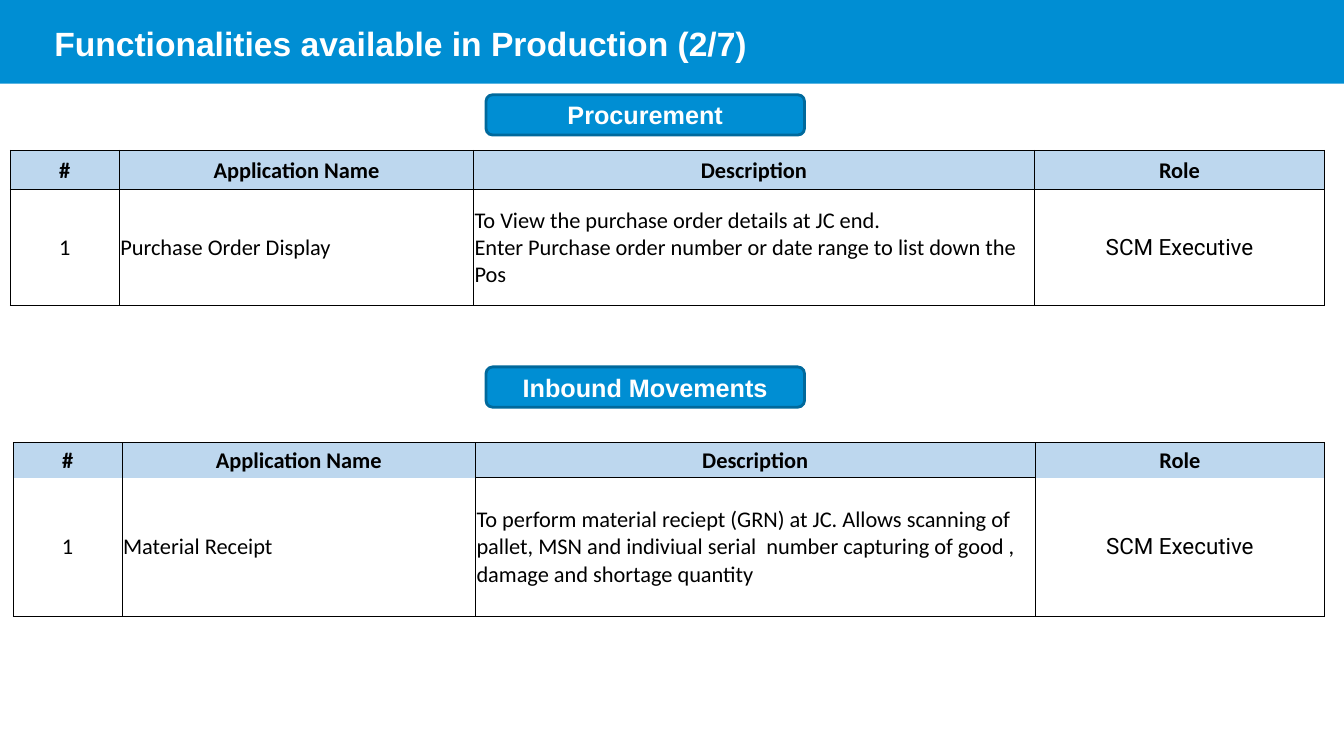
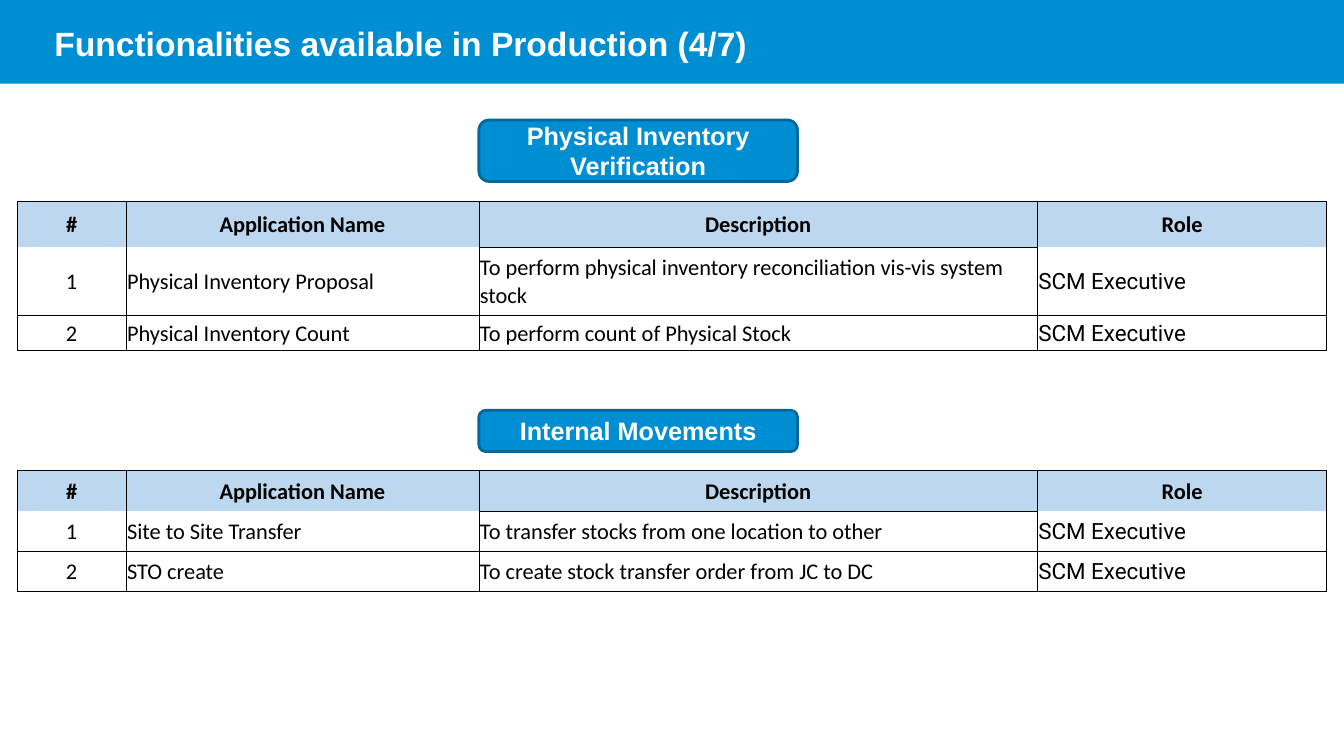
from lxml.etree import SubElement
from pptx import Presentation
from pptx.dml.color import RGBColor
from pptx.enum.shapes import MSO_SHAPE as Shape
from pptx.enum.text import MSO_ANCHOR as Anchor, PP_ALIGN as Align
from pptx.oxml.ns import qn
from pptx.util import Inches, Pt

BLUE = RGBColor(0x00, 0x8E, 0xD3)
DARK_BLUE = RGBColor(0x00, 0x69, 0x9C)
PALE_BLUE = RGBColor(0xBD, 0xD7, 0xEE)
WHITE = RGBColor(0xFF, 0xFF, 0xFF)
BLACK = RGBColor(0x00, 0x00, 0x00)

SLIDE_WIDTH = 13.33
HEADINGS = ("#", "Application Name", "Description", "Role")
NUMBER, APPLICATION, DESCRIPTION, ROLE = range(4)
COLUMN_SHARES = (1.08, 3.5, 5.54, 2.87)
ROLE_NAME = "SCM Executive"


def write(frame, text, size=16, font="Calibri", color=BLACK, bold=False,
          align=Align.LEFT):
    frame.word_wrap = True
    para = frame.paragraphs[0]
    para.text = text
    para.alignment = align
    for span in para.runs:
        span.font.size = Pt(size)
        span.font.name = font
        span.font.bold = bold
        span.font.color.rgb = color


def add_box(page, kind, left, top, width, height, line=None):
    box = page.shapes.add_shape(kind, Inches(left), Inches(top),
                                Inches(width), Inches(height))
    box.shadow.inherit = False
    box.fill.solid()
    box.fill.fore_color.rgb = BLUE
    if line is None:
        box.line.fill.background()
    else:
        box.line.color.rgb = line
        box.line.width = Pt(2)
    return box


def add_page(deck, title):
    """Add a blank slide with the title band."""
    page = deck.slides.add_slide(deck.slide_layouts[6])
    add_box(page, Shape.RECTANGLE, 0, 0, SLIDE_WIDTH, 0.83)
    box = page.shapes.add_textbox(Inches(0.44), Inches(0.18),
                                  Inches(11.78), Inches(0.57))
    write(box.text_frame, title, size=24, font="Arial", color=WHITE, bold=True)
    return page


def add_section_label(page, text, left, top, height=0.4):
    box = add_box(page, Shape.ROUNDED_RECTANGLE, left, top, 3.16, height,
                  line=DARK_BLUE)
    box.text_frame.vertical_anchor = Anchor.MIDDLE
    write(box.text_frame, text, size=18, font="Arial", color=WHITE, bold=True,
          align=Align.CENTER)


def set_borders(cell, hidden=""):
    """Rule all sides of a cell except the hidden ones (letters of LRTB)."""
    properties = cell._tc.get_or_add_tcPr()
    for side in "LRTB":
        line = SubElement(properties, qn(f"a:ln{side}"), w=str(Pt(0.5)))
        if side in hidden:
            SubElement(line, qn("a:noFill"))
        else:
            fill = SubElement(line, qn("a:solidFill"))
            SubElement(fill, qn("a:srgbClr"), val=str(BLACK))


def format_cell(cell, text, hidden="", fill=None, **text_format):
    cell.margin_left = cell.margin_right = cell.margin_top = Inches(0.01)
    cell.margin_bottom = 0
    cell.vertical_anchor = Anchor.MIDDLE
    set_borders(cell, hidden)
    if fill is None:
        cell.fill.background()
    else:
        cell.fill.solid()
        cell.fill.fore_color.rgb = fill
    write(cell.text_frame, text, **text_format)


def add_function_table(page, left, top, width, heights, entries,
                       role_align=Align.LEFT, open_header=True):
    """Tabulate (application, description) entries.

    An open header is ruled off from the first entry only under Description.
    """
    table = page.shapes.add_table(len(heights), len(HEADINGS), Inches(left),
                                  Inches(top), Inches(width),
                                  Inches(sum(heights))).table
    table.first_row = table.horz_banding = False
    for column, share in zip(table.columns, COLUMN_SHARES):
        column.width = Inches(width * share / sum(COLUMN_SHARES))
    for row, height in zip(table.rows, heights):
        row.height = Inches(height)

    aligns = {NUMBER: Align.CENTER, ROLE: role_align}
    for column, heading in enumerate(HEADINGS):
        is_open = open_header and column != DESCRIPTION
        format_cell(table.cell(0, column), heading, fill=PALE_BLUE, bold=True,
                    align=Align.CENTER, hidden="B" if is_open else "")
        for number, entry in enumerate(entries, 1):
            text = (str(number), *entry, ROLE_NAME)[column]
            format_cell(table.cell(number, column), text,
                        hidden="T" if is_open and number == 1 else "",
                        font="Roboto" if column == ROLE else "Calibri",
                        align=aligns.get(column, Align.LEFT))


def add_procurement_page(deck):
    page = add_page(deck, "Functionalities available in Production (2/7)")
    add_section_label(page, "Procurement", 4.82, 0.94)
    add_function_table(
        page, 0.1, 1.49, 13.04, (0.39, 1.15),
        [("Purchase Order Display",
          "To View the purchase order details at JC end.\n"
          "Enter Purchase order number or date range to list down the Pos")],
        role_align=Align.CENTER, open_header=False)
    add_section_label(page, "Inbound Movements", 4.82, 3.64)
    add_function_table(
        page, 0.13, 4.39, 13.01, (0.35, 1.37),
        [("Material Receipt",
          "To perform material reciept (GRN) at JC. Allows scanning of pallet, "
          "MSN and indiviual serial  number capturing of good , damage and "
          "shortage quantity")],
        role_align=Align.CENTER)


def add_inventory_page(deck):
    page = add_page(deck, "Functionalities available in Production (4/7)")
    add_section_label(page, "Physical Inventory Verification", 4.75, 1.19, 0.61)
    add_function_table(
        page, 0.17, 2, 12.99, (0.45, 0.68, 0.35),
        [("Physical Inventory Proposal",
          "To perform physical inventory reconciliation vis-vis system stock"),
         ("Physical Inventory Count", "To perform count of Physical Stock")])
    add_section_label(page, "Internal Movements", 4.75, 4.07, 0.41)
    add_function_table(
        page, 0.17, 4.67, 12.99, (0.4, 0.4, 0.4),
        [("Site to Site Transfer",
          "To transfer stocks from one location to other"),
         ("STO create", "To create stock transfer order from JC to DC")])


def main():
    deck = Presentation()
    deck.slide_width = Inches(SLIDE_WIDTH)
    deck.slide_height = Inches(7.5)
    add_procurement_page(deck)
    add_inventory_page(deck)
    deck.save("out.pptx")


if __name__ == "__main__":
    main()
